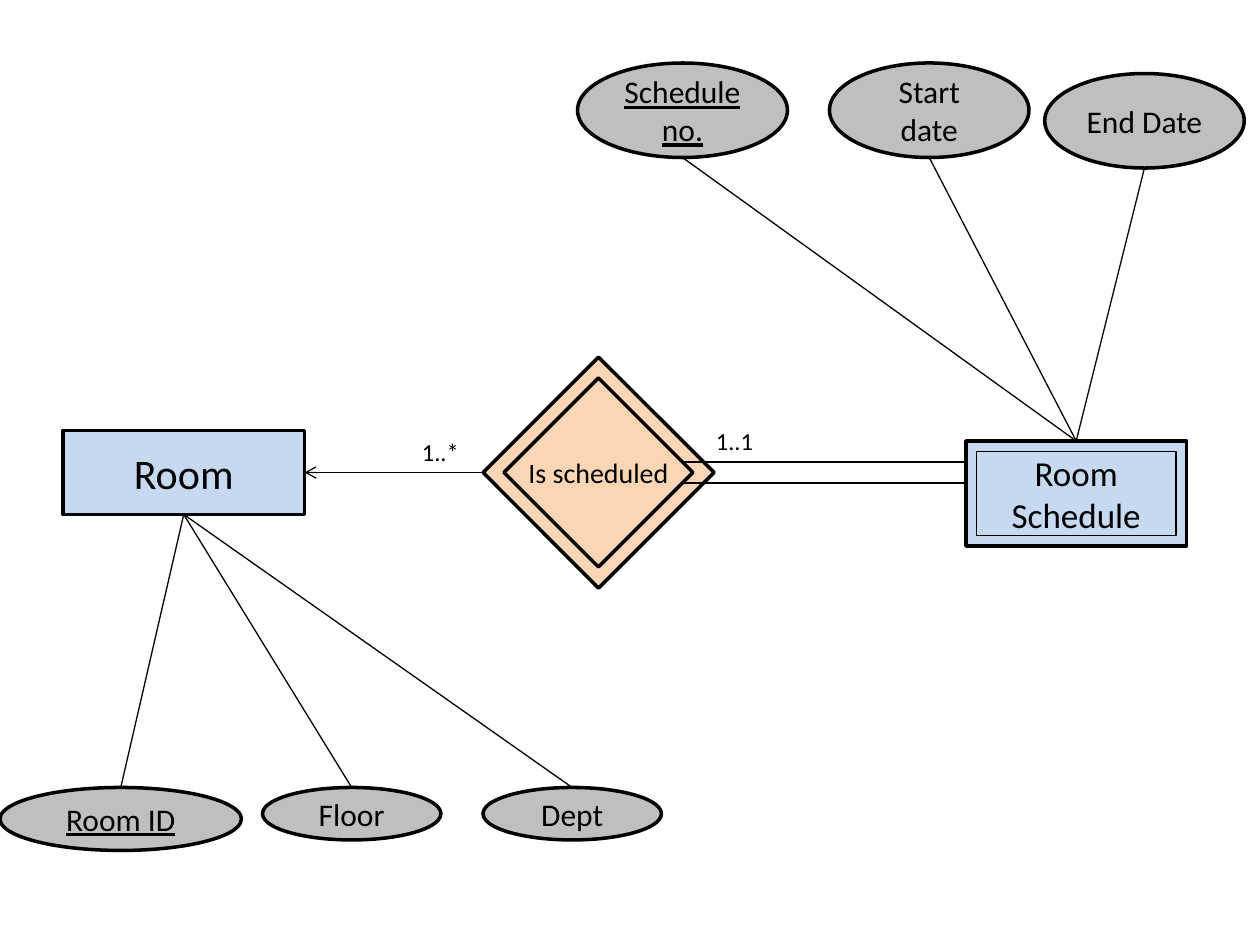
from lxml import etree
from pptx import Presentation
from pptx.dml.color import RGBColor
from pptx.enum.shapes import MSO_CONNECTOR, MSO_SHAPE
from pptx.enum.text import MSO_ANCHOR, PP_ALIGN
from pptx.oxml.ns import qn
from pptx.util import Pt

PX = 9525  # EMU per pixel, 96 pixels to the inch
FONT = "Calibri"
BLACK = RGBColor(0x00, 0x00, 0x00)
BLUE = RGBColor(0xC6, 0xD9, 0xF1)
ORANGE = RGBColor(0xFC, 0xD5, 0xB5)
GRAY = RGBColor(0xBF, 0xBF, 0xBF)
RECTANGLE = MSO_SHAPE.RECTANGLE
DIAMOND = MSO_SHAPE.FLOWCHART_DECISION
OVAL = MSO_SHAPE.OVAL
STRAIGHT = MSO_CONNECTOR.STRAIGHT

presentation = Presentation()
presentation.slide_width = 960 * PX
presentation.slide_height = 720 * PX
slide = presentation.slides.add_slide(presentation.slide_layouts[6])


def add_node(kind, box, fill, text="", size=18, underline=False, line_width=2):
    shape = slide.shapes.add_shape(kind, *(value * PX for value in box))
    shape.shadow.inherit = False
    shape.fill.solid()
    shape.fill.fore_color.rgb = fill
    shape.line.color.rgb = BLACK
    shape.line.width = Pt(line_width)
    if text:
        shape.text_frame.text = text
        shape.text_frame.word_wrap = kind != DIAMOND
        shape.text_frame.vertical_anchor = MSO_ANCHOR.MIDDLE
        paragraph = shape.text_frame.paragraphs[0]
        paragraph.alignment = PP_ALIGN.CENTER
        paragraph.font.name = FONT
        paragraph.font.size = Pt(size)
        paragraph.font.color.rgb = BLACK
        if underline:
            paragraph.font.underline = True


def add_line(start, end, arrow=False):
    points = (value * PX for value in start + end)
    connector = slide.shapes.add_connector(STRAIGHT, *points)
    connector.line.color.rgb = BLACK
    connector.line.width = Pt(0.75)
    properties = connector._element.spPr
    if arrow:
        etree.SubElement(properties.find(qn("a:ln")), qn("a:tailEnd"), type="arrow")
    etree.SubElement(properties, qn("a:effectLst"))


# Entities and the identifying relationship
add_node(RECTANGLE, (736, 336, 168, 80), BLUE)
add_node(RECTANGLE, (744, 344, 152, 64), BLUE, "Room Schedule", 20, line_width=1)
add_node(RECTANGLE, (48, 328, 184, 64), BLUE, "Room", 24)
add_node(DIAMOND, (368, 272, 176, 176), ORANGE)
add_node(DIAMOND, (384, 288, 144, 144), ORANGE, "Is scheduled", 16)

# Double line for total participation, arrow towards Room
for y in (352, 368):
    add_line((520, y), (736, y))
add_line((368, 360), (232, 360), arrow=True)

# Attributes, each joined to its entity
room_bottom = (140, 392)
room_attributes = [
    ("Floor", 200, 136, 40, False),
    ("Room ID", 0, 184, 48, True),
    ("Dept", 368, 136, 40, False),
]
for text, left, width, height, is_key in room_attributes:
    add_node(OVAL, (left, 600, width, height), GRAY, text, underline=is_key)
    add_line(room_bottom, (left + width // 2, 600))

schedule_top = (820, 336)
schedule_attributes = [
    ("Schedule no.", 440, 48, 160, True),
    ("Start date", 632, 48, 152, False),
    ("End Date", 796, 56, 152, False),
]
for text, left, top, width, is_key in schedule_attributes:
    add_node(OVAL, (left, top, width, 72), GRAY, text, underline=is_key)
    add_line((left + width // 2, top + 72), schedule_top)

# Multiplicities
for text, left, top in [("1..1", 536, 320), ("1..*", 312, 328)]:
    label = slide.shapes.add_textbox(left * PX, top * PX, 48 * PX, 32 * PX)
    label.text_frame.text = text
    label.text_frame.word_wrap = False
    paragraph = label.text_frame.paragraphs[0]
    paragraph.font.name = FONT
    paragraph.font.size = Pt(14)
    paragraph.font.color.rgb = BLACK

presentation.save("out.pptx")
